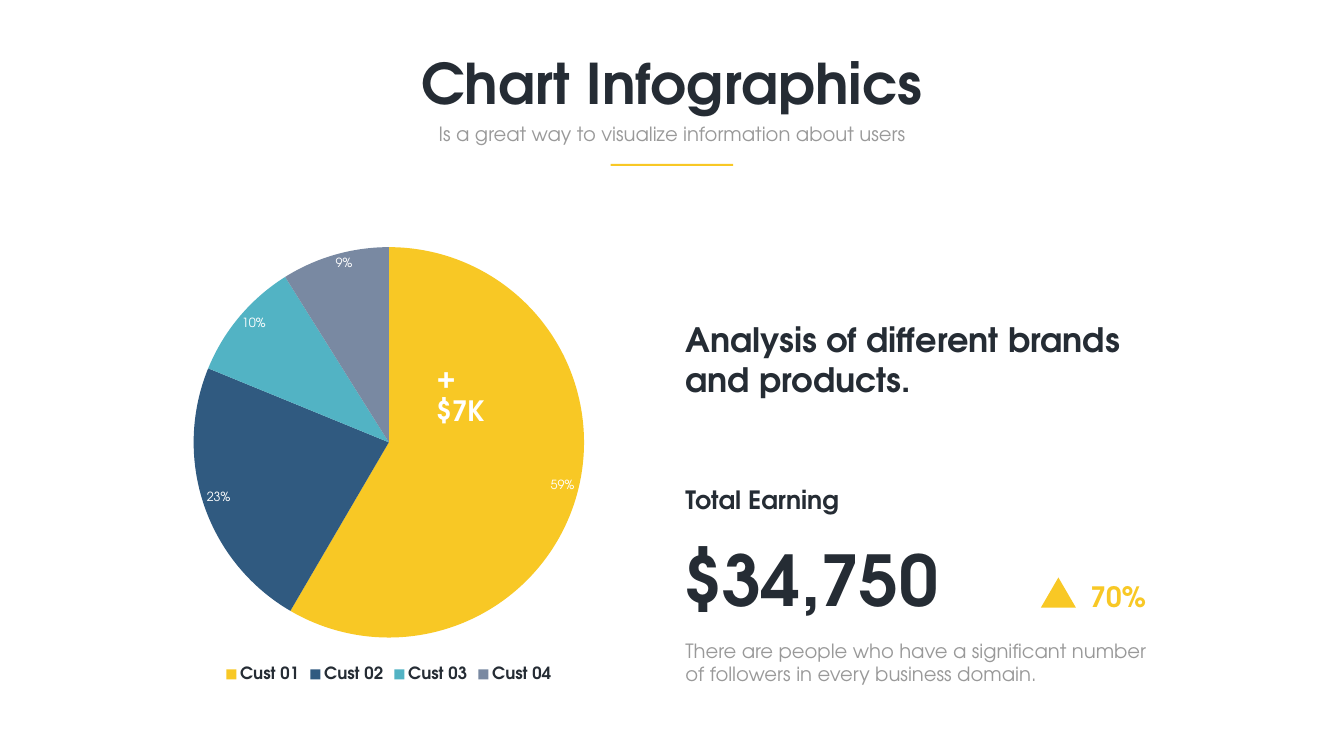
import pptx
import pptx.chart.data
import pptx.dml.color
import pptx.enum.chart
import pptx.enum.shapes
import pptx.enum.text
import pptx.oxml
import pptx.util

Pt = pptx.util.Pt
RGBColor = pptx.dml.color.RGBColor
ALIGN = pptx.enum.text.PP_ALIGN
ANCHOR = pptx.enum.text.MSO_ANCHOR

FONT = "TeX Gyre Adventor"
DARK = RGBColor(0x25, 0x2C, 0x34)
GREY = RGBColor(0x99, 0x99, 0x99)
WHITE = RGBColor(0xFF, 0xFF, 0xFF)
YELLOW = RGBColor(0xF8, 0xC8, 0x25)
NAVY = RGBColor(0x30, 0x5A, 0x80)
TEAL = RGBColor(0x52, 0xB3, 0xC4)
SLATE = RGBColor(0x79, 0x89, 0xA2)

CUSTOMERS = [("Cust 01", 59, YELLOW), ("Cust 02", 23, NAVY),
             ("Cust 03", 10, TEAL), ("Cust 04", 9, SLATE)]


def style_font(font, size, color, bold=False):
    font.name = FONT
    font.size = Pt(size)
    font.color.rgb = color
    font.bold = bold


def write_text(frame, text, size=28, color=DARK, bold=False,
               align=ALIGN.LEFT, anchor=ANCHOR.TOP, inset=None):
    frame.word_wrap = True
    frame.auto_size = pptx.enum.text.MSO_AUTO_SIZE.NONE
    frame.vertical_anchor = anchor
    if inset is not None:
        frame.margin_left = frame.margin_right = Pt(inset)
        frame.margin_top = frame.margin_bottom = Pt(inset)
    paragraph = frame.paragraphs[0]
    paragraph.alignment = align
    paragraph.line_spacing = 1.0
    paragraph.space_before = Pt(0)
    run = paragraph.add_run()
    run.text = text
    style_font(run.font, size, color, bold)


def add_text(slide, left, top, width, height, text, **text_format):
    box = slide.shapes.add_textbox(Pt(left), Pt(top), Pt(width), Pt(height))
    write_text(box.text_frame, text, **text_format)


def fill_placeholder(placeholder, left, top, width, height, text, **text_format):
    placeholder.left, placeholder.top = Pt(left), Pt(top)
    placeholder.width, placeholder.height = Pt(width), Pt(height)
    write_text(placeholder.text_frame, text, **text_format)


def add_solid(slide, kind, left, top, width, height, color):
    solid = slide.shapes.add_shape(kind, Pt(left), Pt(top), Pt(width), Pt(height))
    solid.shadow.inherit = False
    solid.fill.solid()
    solid.fill.fore_color.rgb = color
    solid.line.fill.background()


def add_header(slide, left, top, width):
    title, subtitle = slide.placeholders
    fill_placeholder(title, left, top, width, 104, "Chart Infographics",
                     size=80, bold=True, align=ALIGN.CENTER)
    fill_placeholder(subtitle, left, top + 106, width, 41,
                     "Is a great way to visualize information about users",
                     color=GREY, align=ALIGN.CENTER)
    rule_width = 175
    add_solid(slide, pptx.enum.shapes.MSO_SHAPE.RECTANGLE,
              left + (width - rule_width) / 2, top + 169, rule_width, 3, YELLOW)


def set_plot_layout(chart, **fractions):
    """Fix the inner plot area as fractions of the chart box."""
    plot_area = chart.plots[0]._element.getparent()
    for old in plot_area.findall(pptx.oxml.ns.qn("c:layout")):
        plot_area.remove(old)
    sizes = "".join(f'<c:{key} val="{value}"/>' for key, value in fractions.items())
    plot_area.insert(0, pptx.oxml.parse_xml(
        f'<c:layout {pptx.oxml.ns.nsdecls("c")}><c:manualLayout>'
        '<c:layoutTarget val="inner"/><c:xMode val="edge"/><c:yMode val="edge"/>'
        f'{sizes}</c:manualLayout></c:layout>'))


def add_customer_pie(slide, left, top, width, height):
    names, shares, colors = zip(*CUSTOMERS)
    data = pptx.chart.data.CategoryChartData()
    data.categories = names
    data.add_series("Series 1", shares)
    chart = slide.shapes.add_chart(
        pptx.enum.chart.XL_CHART_TYPE.PIE,
        Pt(left), Pt(top), Pt(width), Pt(height), data).chart
    style_font(chart.font, 18, WHITE)
    chart.has_title = False
    chart.has_legend = True
    chart.legend.position = pptx.enum.chart.XL_LEGEND_POSITION.BOTTOM
    chart.legend.include_in_layout = False
    style_font(chart.legend.font, 24, DARK, bold=True)
    set_plot_layout(chart, x=0.02, y=0.05, w=0.96, h=0.85)

    plot = chart.plots[0]
    plot.vary_by_categories = True
    series = plot.series[0]
    for index, color in enumerate(colors):
        fill = series.points[index].format.fill
        fill.solid()
        fill.fore_color.rgb = color
    labels = series.data_labels
    labels.show_value = True
    labels.number_format = '0"%"'
    labels.number_format_is_linked = False
    labels.position = pptx.enum.chart.XL_LABEL_POSITION.INSIDE_END
    style_font(labels.font, 18, WHITE)

    add_text(slide, left + 351, top + 193, 109, 55, "+$7K",
             size=40, color=WHITE, bold=True)


def add_earnings(slide, left, top, width):
    add_text(slide, left, top, 658, 124,
             "Analysis of different brands and products.", size=48, bold=True)
    add_text(slide, left, top + 236, 453, 51, "Total Earning", size=36, bold=True)
    add_text(slide, left, top + 309, 466, 130, "$34,750", size=100, bold=True,
             anchor=ANCHOR.MIDDLE, inset=4.5)
    add_growth(slide, left + 515, top + 373)
    add_text(slide, left, top + 457, width, 75,
             "There are people who have a significant number of followers "
             "in every business domain.", color=GREY)


def add_growth(slide, left, top):
    add_solid(slide, pptx.enum.shapes.MSO_SHAPE.ISOSCELES_TRIANGLE,
              left, top, 50, 43, YELLOW)
    add_text(slide, left + 48, top, 109, 55, "70%",
             size=40, color=YELLOW, bold=True, align=ALIGN.RIGHT)


def main():
    deck = pptx.Presentation()
    deck.slide_width, deck.slide_height = Pt(1920), Pt(1080)
    slide = deck.slides.add_slide(deck.slide_layouts[0])
    add_header(slide, 495, 65, 930)
    add_customer_pie(slide, 265, 317.5, 581, 662)
    add_earnings(slide, 972, 452, 683)
    deck.save("out.pptx")


if __name__ == "__main__":
    main()
